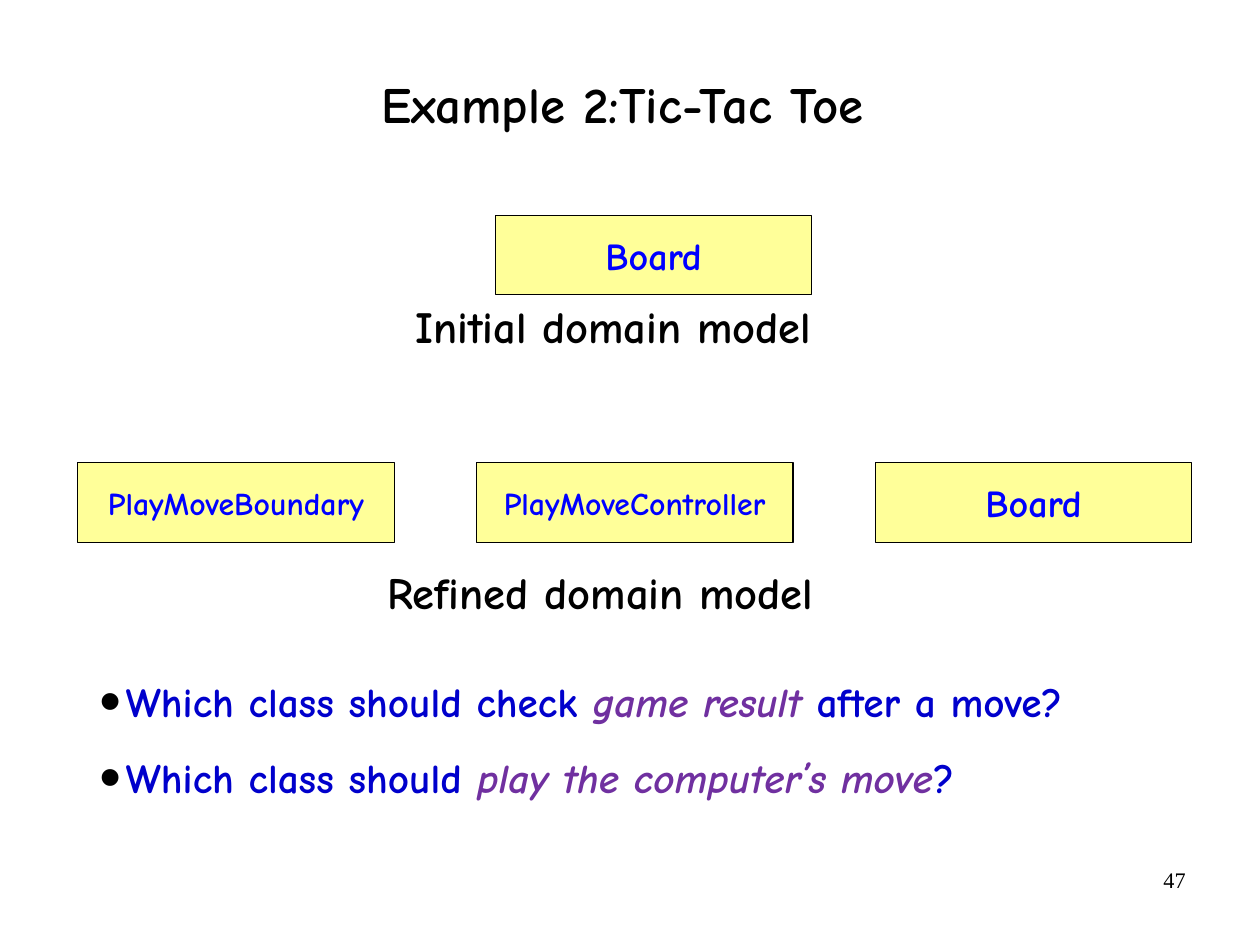
import pptx
import pptx.util
import pptx.dml.color
import pptx.enum.shapes
import pptx.enum.text
import lxml.etree

Pt = pptx.util.Pt
ALIGN = pptx.enum.text.PP_ALIGN
ANCHOR = pptx.enum.text.MSO_ANCHOR
AUTO_SIZE = pptx.enum.text.MSO_AUTO_SIZE
FONT = "Comic Neue"
COLORS = {
    "black": "000000",
    "class_fill": "FFFF99",
    "class_name": "0000FF",
    "question": "0000CC",
    "emphasis": "7030A0",
}


def add_run(paragraph, text, size, color, bold=True, italic=False, name=FONT):
    run = paragraph.add_run()
    run.text = text
    run.font.name = name
    run.font.size = Pt(size)
    run.font.bold = bold
    run.font.italic = italic
    run.font.color.rgb = pptx.dml.color.RGBColor.from_string(COLORS[color])


def set_margins(text_frame, horizontal, vertical):
    text_frame.margin_left = text_frame.margin_right = Pt(horizontal)
    text_frame.margin_top = text_frame.margin_bottom = Pt(vertical)


presentation = pptx.Presentation()
presentation.slide_width = Pt(793.7)
presentation.slide_height = Pt(595.28)
slide = presentation.slides.add_slide(presentation.slide_layouts[5])

# Title
title = slide.shapes.title
title.left, title.top, title.width, title.height = Pt(55.2), Pt(16), Pt(674.5), Pt(102)
title.text_frame.vertical_anchor = ANCHOR.MIDDLE
title.text_frame.auto_size = AUTO_SIZE.NONE
set_margins(title.text_frame, 1.5, 4)
paragraph = title.text_frame.paragraphs[0]
paragraph.alignment = ALIGN.CENTER
paragraph.line_spacing = 0.94
add_run(paragraph, "Example 2:Tic-Tac Toe", 32, "black")

# Class boxes: one above, a row of three below
refined_left, refined_top, refined_step = 49, 291.6, 251.2
refined_classes = [("PlayMoveBoundary", 20), ("PlayMoveController", 20), ("Board", 24)]
class_boxes = [("Board", 24, 312, 135.8)]
for column, (name, size) in enumerate(refined_classes):
    class_boxes.append((name, size, refined_left + column * refined_step, refined_top))

for name, size, left, top in class_boxes:
    box = slide.shapes.add_shape(
        pptx.enum.shapes.MSO_SHAPE.RECTANGLE, Pt(left), Pt(top), Pt(199.4), Pt(50))
    box.shadow.inherit = False
    box.fill.solid()
    box.fill.fore_color.rgb = pptx.dml.color.RGBColor.from_string(COLORS["class_fill"])
    box.line.color.rgb = pptx.dml.color.RGBColor.from_string(COLORS["black"])
    box.line.width = Pt(0.75)
    box.text_frame.vertical_anchor = ANCHOR.MIDDLE
    set_margins(box.text_frame, 0, 0)
    paragraph = box.text_frame.paragraphs[0]
    paragraph.alignment = ALIGN.CENTER
    add_run(paragraph, name, size, "class_name")

# Model captions
for caption, left, top, width in [
    ("Initial domain model", 253.8, 184.5, 292),
    ("Refined domain model", 236, 352, 312),
]:
    caption_box = slide.shapes.add_textbox(Pt(left), Pt(top), Pt(width), Pt(42))
    caption_box.text_frame.word_wrap = False
    caption_box.text_frame.auto_size = AUTO_SIZE.SHAPE_TO_FIT_TEXT
    set_margins(caption_box.text_frame, 7.8, 4)
    add_run(caption_box.text_frame.paragraphs[0], caption, 28, "black")

# Questions
questions = [
    [("Which class should check ", False), ("game result ", True), ("after a move?", False)],
    [("Which class should ", False), ("play the computer’s move", True), ("?", False)],
]
question_box = slide.shapes.add_textbox(Pt(55.5), Pt(416), Pt(725.5), Pt(94.5))
question_frame = question_box.text_frame
question_frame.word_wrap = True
question_frame.auto_size = AUTO_SIZE.SHAPE_TO_FIT_TEXT
for index, question in enumerate(questions):
    paragraph = question_frame.add_paragraph() if index else question_frame.paragraphs[0]
    paragraph.line_spacing = 1.2
    paragraph.space_after = Pt(10.9)
    properties = paragraph._p.get_or_add_pPr()
    properties.set("marL", str(Pt(16.8)))
    properties.set("indent", str(-Pt(16.8)))
    namespace = properties.nsmap["a"]
    bullet_color = lxml.etree.SubElement(properties, f"{{{namespace}}}buClr")
    lxml.etree.SubElement(bullet_color, f"{{{namespace}}}srgbClr", val=COLORS["black"])
    lxml.etree.SubElement(properties, f"{{{namespace}}}buSzPct", val="150000")
    lxml.etree.SubElement(properties, f"{{{namespace}}}buFont", typeface="Arial")
    lxml.etree.SubElement(properties, f"{{{namespace}}}buChar", char="•")
    for text, emphasized in question:
        color = "emphasis" if emphasized else "question"
        add_run(paragraph, text, 26, color, italic=emphasized)

# Page number
number_box = slide.shapes.add_textbox(Pt(569), Pt(542), Pt(185), Pt(41))
number_box.text_frame.word_wrap = True
paragraph = number_box.text_frame.paragraphs[0]
paragraph.alignment = ALIGN.RIGHT
add_run(paragraph, "47", 14, "black", bold=False, name="Times New Roman")

presentation.save("out.pptx")
